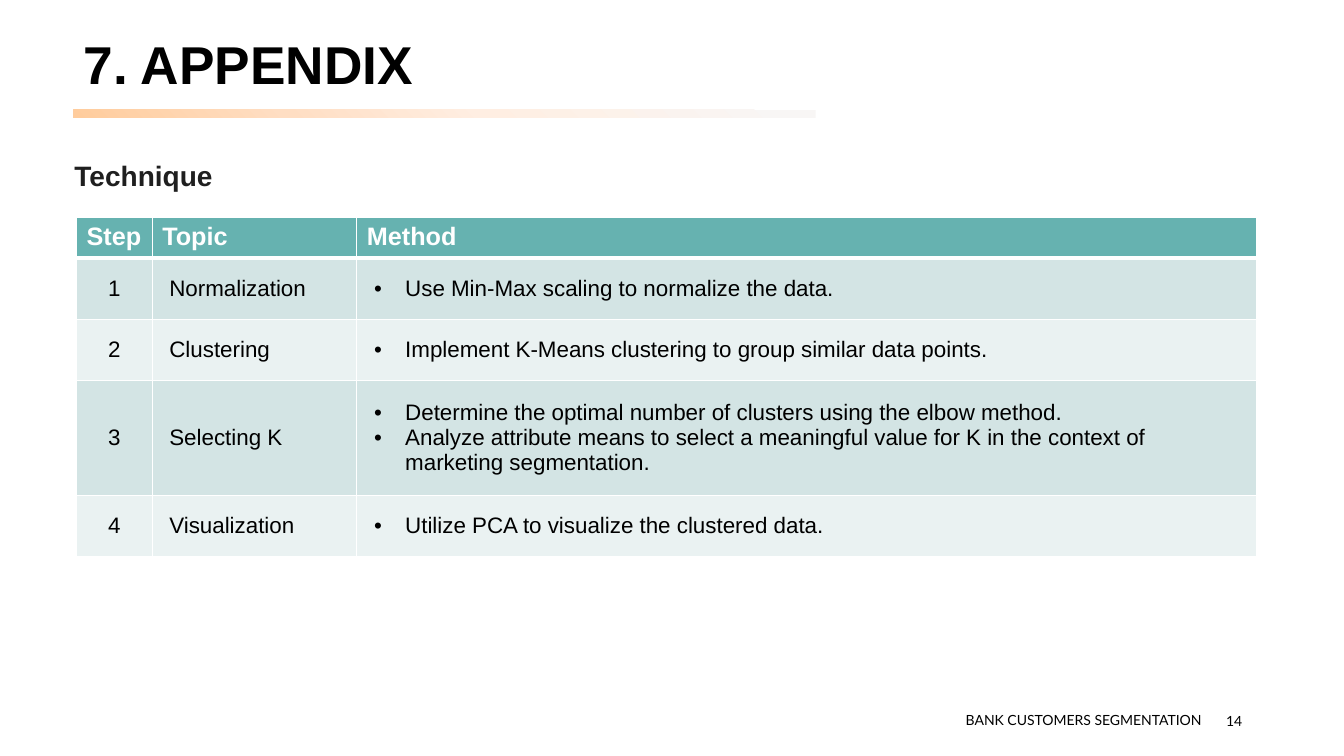
"""Build the appendix slide that lists the segmentation techniques step by step."""
from dataclasses import dataclass
from typing import Any, NamedTuple, Optional

from pptx import Presentation
from pptx.dml.color import RGBColor
from pptx.enum.shapes import MSO_SHAPE
from pptx.enum.text import MSO_ANCHOR as Anchor, MSO_AUTO_SIZE as AutoSize, PP_ALIGN as Align
from pptx.oxml import parse_xml
from pptx.oxml.ns import nsdecls, qn
from pptx.util import Pt

PX = 9144


@dataclass(frozen=True)
class Theme:
    heading_font: str = "Arial"
    footer_font: str = "Lato"
    ink: str = "000000"
    subtitle_ink: str = "1F1F1F"
    white: str = "FFFFFF"
    header_fill: str = "66B2B0"
    band_fills: tuple = ("D3E4E4", "EAF2F2")
    rule_stops: tuple = ((0, "FFCC9C"), (29, "FFDEC3"), (55, "FFEEE2"), (96, "F8F6F5"))
    title_size: int = 38
    subtitle_size: int = 20
    header_size: int = 18
    body_size: int = 16
    footer_size: int = 10
    thin_border: int = 1
    thick_border: int = 3


THEME = Theme()


class Box(NamedTuple):
    left: int
    top: int
    width: int
    height: int

    def emu(self) -> tuple:
        return tuple(side * PX for side in self)


class Style(NamedTuple):
    size: int
    color: str
    bold: bool = False
    font: str = THEME.heading_font
    align: Align = Align.LEFT


class Label(NamedTuple):
    text: str
    box: Box
    style: Style
    frame_format: dict


class Step(NamedTuple):
    topic: str
    methods: tuple
    height: int


TITLE = Label("7. APPENDIX", Box(73, 22, 1150, 90),
              Style(THEME.title_size, THEME.ink, True),
              {"vertical_anchor": Anchor.MIDDLE, "auto_size": AutoSize.NONE})
LABELS = (
    Label("14", Box(942, 695, 300, 40),
          Style(THEME.footer_size, THEME.ink, font=THEME.footer_font, align=Align.RIGHT),
          {"vertical_anchor": Anchor.MIDDLE}),
    Label("BANK CUSTOMERS SEGMENTATION", Box(948, 701, 266, 27),
          Style(THEME.footer_size, THEME.ink, font=THEME.footer_font),
          {"auto_size": AutoSize.SHAPE_TO_FIT_TEXT}),
    Label("Technique", Box(64, 152, 903, 44),
          Style(THEME.subtitle_size, THEME.subtitle_ink, True),
          {"auto_size": AutoSize.SHAPE_TO_FIT_TEXT}),
)
RULE = Box(73, 109, 736, 8)
TABLE = Box(76, 216, 1170, 333)
COLUMNS = {"Step": 75, "Topic": 203, "Method": 892}
HEADER_HEIGHT = 40
STEPS = (
    Step("Normalization", ("Use Min-Max scaling to normalize the data.",), 60),
    Step("Clustering", ("Implement K-Means clustering to group similar data points.",), 60),
    Step("Selecting K", (
        "Determine the optimal number of clusters using the elbow method.",
        "Analyze attribute means to select a meaningful value for K "
        "in the context of marketing segmentation."), 113),
    Step("Visualization", ("Utilize PCA to visualize the clustered data.",), 60),
)
CELL_INSET = 17
BULLET_INDENT = 31
BODY_CELL = {"vertical_anchor": Anchor.MIDDLE} | {
    f"margin_{side}": CELL_INSET * PX for side in ("left", "top", "right", "bottom")}


def apply(target: Any, values: dict) -> None:
    for attribute, value in values.items():
        setattr(target, attribute, value)


def write(frame: Any, lines: tuple, style: Style, bulleted: bool = False) -> None:
    for index, line in enumerate(lines):
        paragraph = frame.paragraphs[0] if index == 0 else frame.add_paragraph()
        paragraph.alignment = style.align
        run = paragraph.add_run()
        run.text = line
        apply(run.font, {"name": style.font, "size": Pt(style.size), "bold": style.bold})
        run.font.color.rgb = RGBColor.from_string(style.color)
        if bulleted:
            properties = paragraph._p.get_or_add_pPr()
            properties.set("marL", str(BULLET_INDENT * PX))
            properties.set("indent", str(-BULLET_INDENT * PX))
            properties.append(parse_xml(f'<a:buFont {nsdecls("a")} typeface="Arial"/>'))
            properties.append(parse_xml(f'<a:buChar {nsdecls("a")} char="•"/>'))


def add_title(slide: Any, label: Label) -> None:
    title = slide.shapes.title
    apply(title, dict(zip(label.box._fields, label.box.emu())))
    apply(title.text_frame, label.frame_format)
    write(title.text_frame, (label.text,), label.style)
    title.text_frame.paragraphs[0].line_spacing = 0.9


def add_label(slide: Any, label: Label) -> None:
    frame = slide.shapes.add_textbox(*label.box.emu()).text_frame
    apply(frame, {"word_wrap": True} | label.frame_format)
    write(frame, (label.text,), label.style)


def add_rule(slide: Any) -> None:
    rule = slide.shapes.add_shape(MSO_SHAPE.RECTANGLE, *RULE.emu())
    rule.shadow.inherit = False
    rule.line.fill.background()
    rule.fill.background()
    stops = "".join(f'<a:gs pos="{position * 1000}"><a:srgbClr val="{color}"/></a:gs>'
                    for position, color in THEME.rule_stops)
    gradient = parse_xml(
        f'<a:gradFill {nsdecls("a")} rotWithShape="1"><a:gsLst>{stops}</a:gsLst>'
        '<a:path path="circle"><a:fillToRect t="100000" r="100000"/></a:path></a:gradFill>')
    properties = rule._element.spPr
    properties.replace(properties.find(qn("a:noFill")), gradient)


def add_borders(cell: Any, top: int, bottom: int) -> None:
    thin = THEME.thin_border
    sides = {"L": thin, "R": thin, "T": top, "B": bottom}
    for index, (side, width) in enumerate(sides.items()):
        cell._tc.get_or_add_tcPr().insert(index, parse_xml(
            f'<a:ln{side} {nsdecls("a")} w="{Pt(width)}"><a:solidFill>'
            f'<a:srgbClr val="{THEME.white}"/></a:solidFill></a:ln{side}>'))


def fill_cell(cell: Any, lines: tuple, style: Style, fill: str,
              cell_format: Optional[dict] = None, bulleted: bool = False) -> None:
    apply(cell, cell_format or {})
    cell.fill.solid()
    cell.fill.fore_color.rgb = RGBColor.from_string(fill)
    write(cell.text_frame, lines, style, bulleted)


def add_steps_table(slide: Any) -> None:
    table = slide.shapes.add_table(len(STEPS) + 1, len(COLUMNS), *TABLE.emu()).table
    heading = Style(THEME.header_size, THEME.white, True)
    body = Style(THEME.body_size, THEME.ink)
    for index, (name, width) in enumerate(COLUMNS.items()):
        table.columns[index].width = width * PX
        fill_cell(table.cell(0, index), (name,), heading, THEME.header_fill)
    table.rows[0].height = HEADER_HEIGHT * PX
    for number, step in enumerate(STEPS, start=1):
        table.rows[number].height = step.height * PX
        band = THEME.band_fills[(number - 1) % 2]
        number_cell, topic_cell, method_cell = table.rows[number].cells
        fill_cell(number_cell, (str(number),), body._replace(align=Align.CENTER), band, BODY_CELL)
        fill_cell(topic_cell, (step.topic,), body, band, BODY_CELL)
        fill_cell(method_cell, step.methods, body, band, BODY_CELL, bulleted=True)
    for index, row in enumerate(table.rows):
        top = THEME.thick_border if index == 1 else THEME.thin_border
        bottom = THEME.thick_border if index == 0 else THEME.thin_border
        for cell in row.cells:
            add_borders(cell, top, bottom)


def main() -> None:
    deck = Presentation()
    apply(deck, {"slide_width": 1333 * PX, "slide_height": 750 * PX})
    slide = deck.slides.add_slide(deck.slide_layouts.get_by_name("Title Only"))
    add_title(slide, TITLE)
    for label in LABELS:
        add_label(slide, label)
    add_rule(slide)
    add_steps_table(slide)
    deck.save("out.pptx")


if __name__ == "__main__":
    main()
